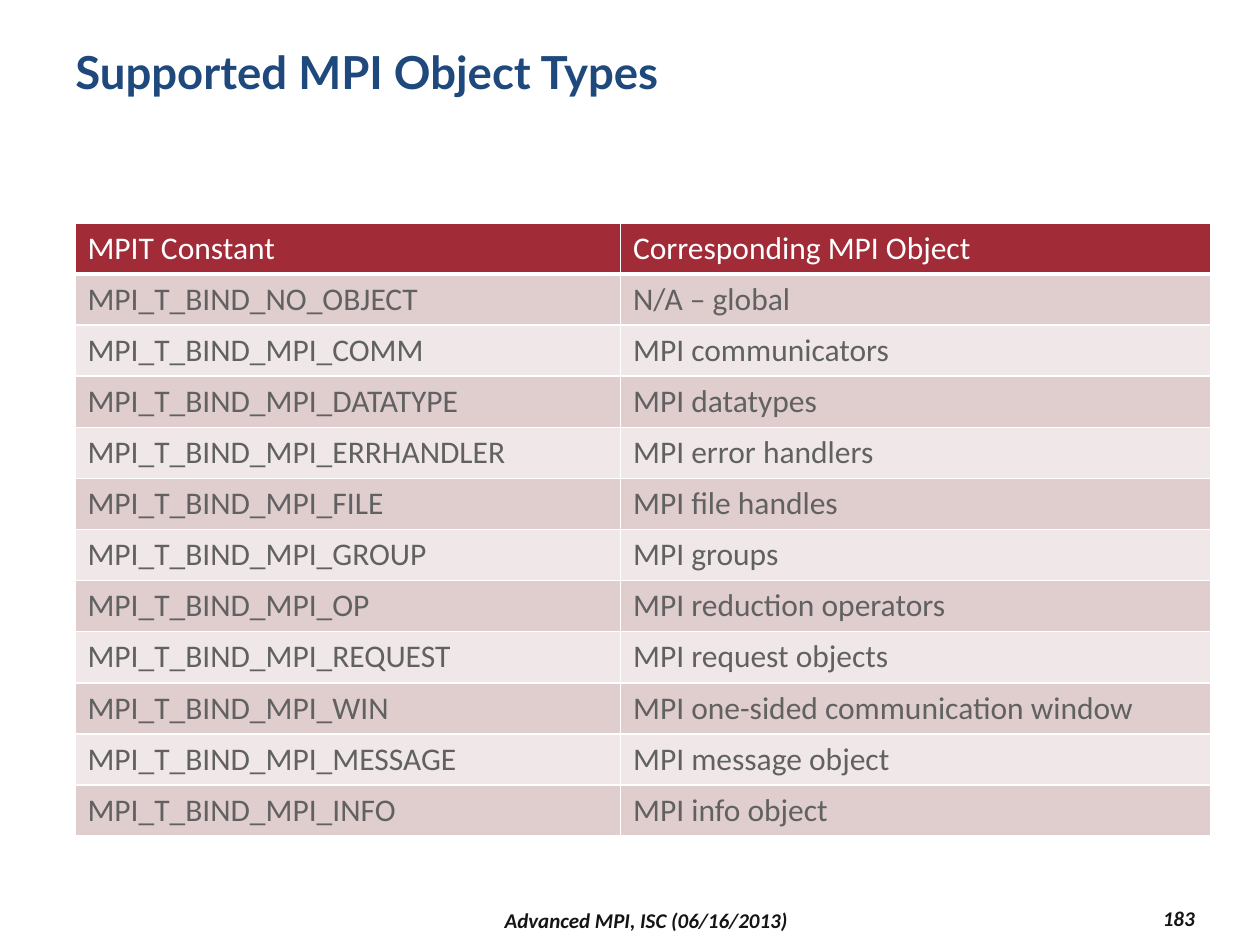
from lxml import etree
from pptx import Presentation
from pptx.dml.color import RGBColor
from pptx.enum.text import MSO_ANCHOR, PP_ALIGN
from pptx.oxml.ns import qn
from pptx.util import Pt

LEFT, CENTER, RIGHT = PP_ALIGN.LEFT, PP_ALIGN.CENTER, PP_ALIGN.RIGHT
TOP, MIDDLE = MSO_ANCHOR.TOP, MSO_ANCHOR.MIDDLE
COLORS = {
    "title": "1F497D",
    "footer": "151515",
    "header": "A22B38",
    "band_dark": "E0CDCE",
    "band_light": "F0E8E8",
    "body": "616161",
    "white": "FFFFFF",
}


def add_run(p, text, font, size, color, bold=False, italic=False):
    r = p.add_run()
    r.text = text
    r.font.name = font
    r.font.size = Pt(size)
    r.font.bold = bold
    r.font.italic = italic
    r.font.color.rgb = RGBColor.from_string(COLORS[color])


def add_border(cell, side, width):
    tcPr = cell._tc.get_or_add_tcPr()
    ln = etree.SubElement(tcPr, qn(f"a:ln{side}"), w=str(Pt(width)))
    fill = etree.SubElement(ln, qn("a:solidFill"))
    etree.SubElement(fill, qn("a:srgbClr"), val=COLORS["white"])


prs = Presentation()
prs.slide_width, prs.slide_height = Pt(720), Pt(540)
s = prs.slides.add_slide(prs.slide_layouts[6])

texts = [
    ("Supported MPI Object Types", (36, 21.6, 648, 62.6), TOP, LEFT, "Lato", 26, "title", False),
    ("183", (612, 514.8, 77.8, 19.4), MIDDLE, RIGHT, "Calibri", 12, "footer", True),
    ("Advanced MPI, ISC (06/16/2013)", (156.2, 516.2, 426.2, 19.4), MIDDLE, CENTER,
     "Calibri", 12, "footer", True),
]
for text, box, anchor, align, font, size, color, italic in texts:
    tf = s.shapes.add_textbox(*map(Pt, box)).text_frame
    tf.word_wrap = True
    tf.vertical_anchor = anchor
    p = tf.paragraphs[0]
    p.alignment = align
    add_run(p, text, font, size, color, bold=True, italic=italic)

rows = [
    ("MPIT Constant", "Corresponding MPI Object"),
    ("MPI_T_BIND_NO_OBJECT", "N/A – global"),
    ("MPI_T_BIND_MPI_COMM", "MPI communicators"),
    ("MPI_T_BIND_MPI_DATATYPE", "MPI datatypes"),
    ("MPI_T_BIND_MPI_ERRHANDLER", "MPI error handlers"),
    ("MPI_T_BIND_MPI_FILE", "MPI file handles"),
    ("MPI_T_BIND_MPI_GROUP", "MPI groups"),
    ("MPI_T_BIND_MPI_OP", "MPI reduction operators"),
    ("MPI_T_BIND_MPI_REQUEST", "MPI request objects"),
    ("MPI_T_BIND_MPI_WIN", "MPI one-sided communication window"),
    ("MPI_T_BIND_MPI_MESSAGE", "MPI message object"),
    ("MPI_T_BIND_MPI_INFO", "MPI info object"),
]
col_widths = (311.8, 337.2)
row_height = 29.2
table = s.shapes.add_table(
    len(rows), len(col_widths), Pt(42.8), Pt(127.4),
    Pt(sum(col_widths)), Pt(row_height * len(rows))).table
for col, width in zip(table.columns, col_widths):
    col.width = Pt(width)

for i, values in enumerate(rows):
    table.rows[i].height = Pt(row_height)
    band = "header" if i == 0 else "band_dark" if i % 2 else "band_light"
    for j, value in enumerate(values):
        cell = table.cell(i, j)
        for side in "LRTB":
            add_border(cell, side, 3 if i == 0 and side == "B" else 1)
        cell.fill.solid()
        cell.fill.fore_color.rgb = RGBColor.from_string(COLORS[band])
        add_run(cell.text_frame.paragraphs[0], value, "Calibri", 18,
                "body" if i else "white")

prs.save("out.pptx")
